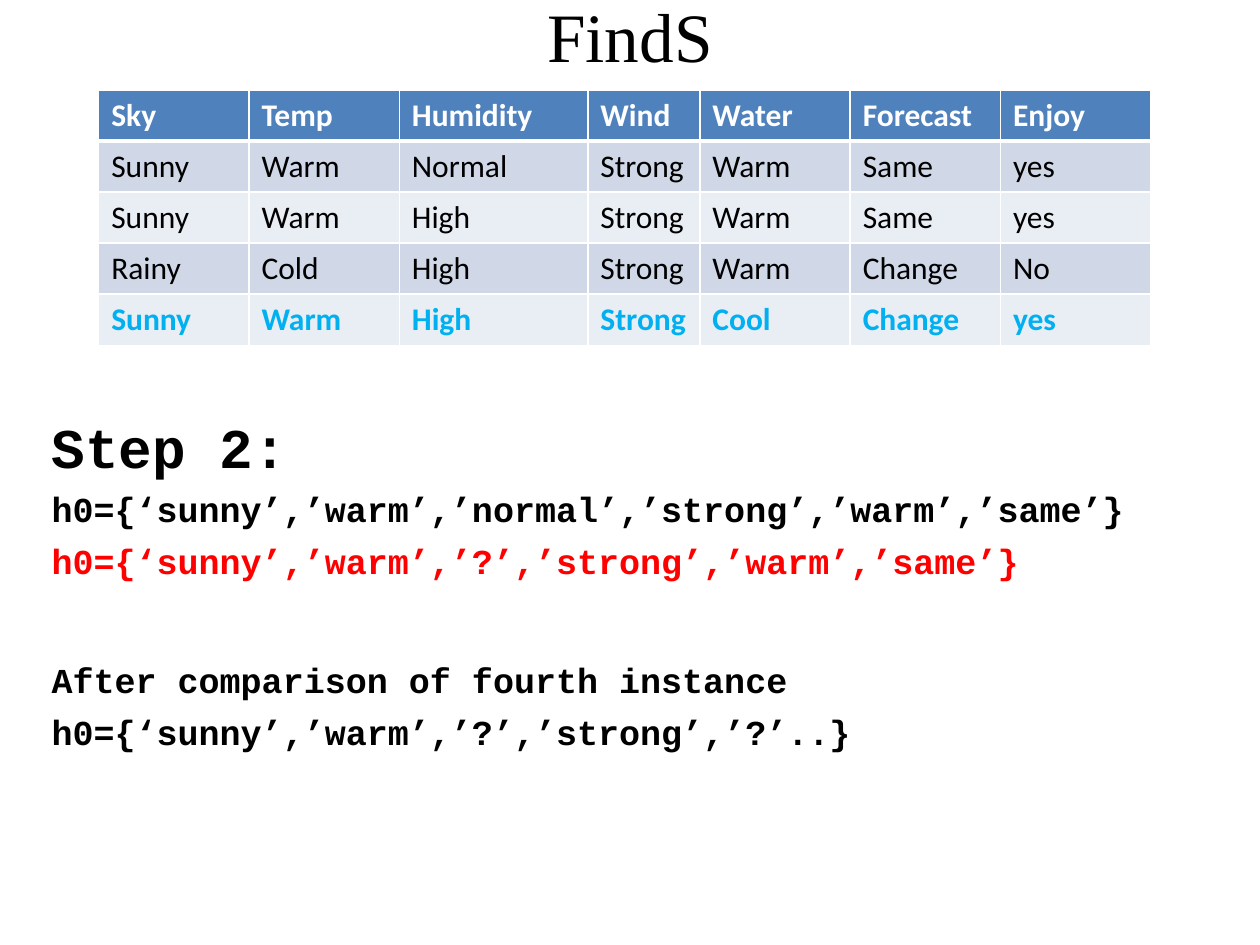
from dataclasses import dataclass

from lxml import etree
from pptx import Presentation
from pptx.dml.color import RGBColor
from pptx.enum.text import MSO_ANCHOR, PP_ALIGN
from pptx.oxml.ns import qn
from pptx.util import Cm, Pt

MIDDLE = MSO_ANCHOR.MIDDLE
CENTER = PP_ALIGN.CENTER


@dataclass(frozen=True)
class Theme:
    title_font: str = "Times New Roman"
    table_font: str = "Calibri"
    code_font: str = "Courier New"
    title_size: float = 39.6
    step_size: int = 32
    code_size: int = 20
    table_size: int = 18
    black: str = "000000"
    white: str = "FFFFFF"
    red: str = "FF0000"
    cyan: str = "00B0F0"
    header: str = "4F81BD"
    bands: tuple = ("D0D8E8", "E9EDF4")


THEME = Theme()

COLUMN_WIDTHS = [3.03, 3.03, 3.8, 2.26, 3.03, 3.03, 3.03]
ROW_HEIGHT = 1.03
EXAMPLES = [
    ["Sky", "Temp", "Humidity", "Wind", "Water", "Forecast", "Enjoy"],
    ["Sunny", "Warm", "Normal", "Strong", "Warm", "Same", "yes"],
    ["Sunny", "Warm", "High", "Strong", "Warm", "Same", "yes"],
    ["Rainy", "Cold", "High", "Strong", "Warm", "Change", "No"],
    ["Sunny", "Warm", "High", "Strong", "Cool", "Change", "yes"],
]

# text, size, colour, space before in points
STEP_LINES = [
    ("Step 2:", THEME.step_size, THEME.black, 0),
    ("h0={‘sunny’,’warm’,’normal’,’strong’,’warm’,’same’}",
     THEME.code_size, THEME.black, 4),
    ("h0={‘sunny’,’warm’,’?’,’strong’,’warm’,’same’}",
     THEME.code_size, THEME.red, 6),
    ("After comparison of fourth instance",
     THEME.code_size, THEME.black, 43.6),
    ("h0={‘sunny’,’warm’,’?’,’strong’,’?’..}",
     THEME.code_size, THEME.black, 6),
]


def write(p, text, font, size, color, bold=False):
    p.text = text
    for r in p.runs:
        r.font.name = font
        r.font.size = Pt(size)
        r.font.bold = bold
        r.font.color.rgb = RGBColor.from_string(color)


def set_title(slide, text):
    sp = slide.shapes.title
    sp.left, sp.top, sp.width, sp.height = Cm(1.27), Cm(0), Cm(22.86), Cm(1.4)
    tf = sp.text_frame
    tf.vertical_anchor = MIDDLE
    p = tf.paragraphs[0]
    write(p, text, THEME.title_font, THEME.title_size, THEME.black)
    p.alignment = CENTER


def set_borders(cell, widths):
    """Draw white borders; widths maps an edge tag to points."""
    tcPr = cell._tc.get_or_add_tcPr()
    for i, (edge, width) in enumerate(widths.items()):
        ln = etree.Element(qn(f"a:{edge}"), w=str(Pt(width)))
        fill = etree.SubElement(ln, qn("a:solidFill"))
        etree.SubElement(fill, qn("a:srgbClr"), val=THEME.white)
        tcPr.insert(i, ln)


def row_style(row):
    """Return fill, text colour and bold for a row of the table."""
    if row == 0:
        return THEME.header, THEME.white, True
    last = row == len(EXAMPLES) - 1
    return THEME.bands[(row - 1) % 2], THEME.cyan if last else THEME.black, last


def add_examples_table(slide):
    table = slide.shapes.add_table(
        len(EXAMPLES), len(COLUMN_WIDTHS), Cm(1.99), Cm(1.81),
        Cm(sum(COLUMN_WIDTHS)), Cm(ROW_HEIGHT * len(EXAMPLES))).table
    for column, width in zip(table.columns, COLUMN_WIDTHS):
        column.width = Cm(width)
    for i, values in enumerate(EXAMPLES):
        table.rows[i].height = Cm(ROW_HEIGHT)
        fill, color, bold = row_style(i)
        borders = {"lnL": 1, "lnR": 1,
                   "lnT": 3 if i == 1 else 1, "lnB": 3 if i == 0 else 1}
        for j, value in enumerate(values):
            cell = table.cell(i, j)
            cell.fill.solid()
            cell.fill.fore_color.rgb = RGBColor.from_string(fill)
            set_borders(cell, borders)
            write(cell.text_frame.paragraphs[0], value,
                  THEME.table_font, THEME.table_size, color, bold)


def add_step_text(slide):
    tf = slide.shapes.add_textbox(
        Cm(0.79), Cm(8.2), Cm(23.34), Cm(8.82)).text_frame
    tf.word_wrap = True
    for i, (text, size, color, space) in enumerate(STEP_LINES):
        p = tf.add_paragraph() if i else tf.paragraphs[0]
        write(p, text, THEME.code_font, size, color, bold=True)
        p.space_before = Pt(space)


def main():
    prs = Presentation()
    prs.slide_width, prs.slide_height = Cm(25.4), Cm(19.05)
    slide = prs.slides.add_slide(prs.slide_layouts[5])
    set_title(slide, "FindS")
    add_step_text(slide)
    add_examples_table(slide)
    prs.save("out.pptx")


if __name__ == "__main__":
    main()
